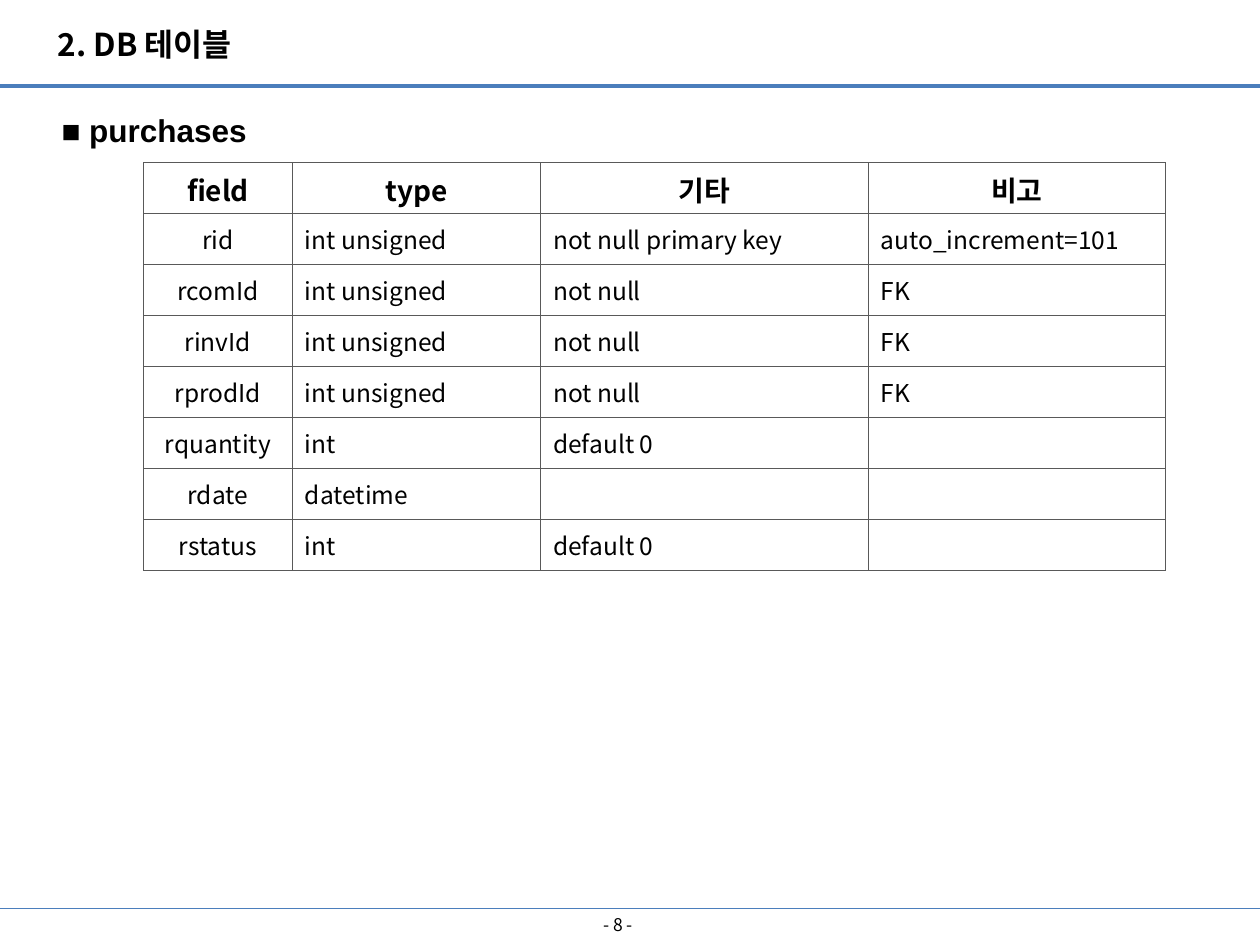
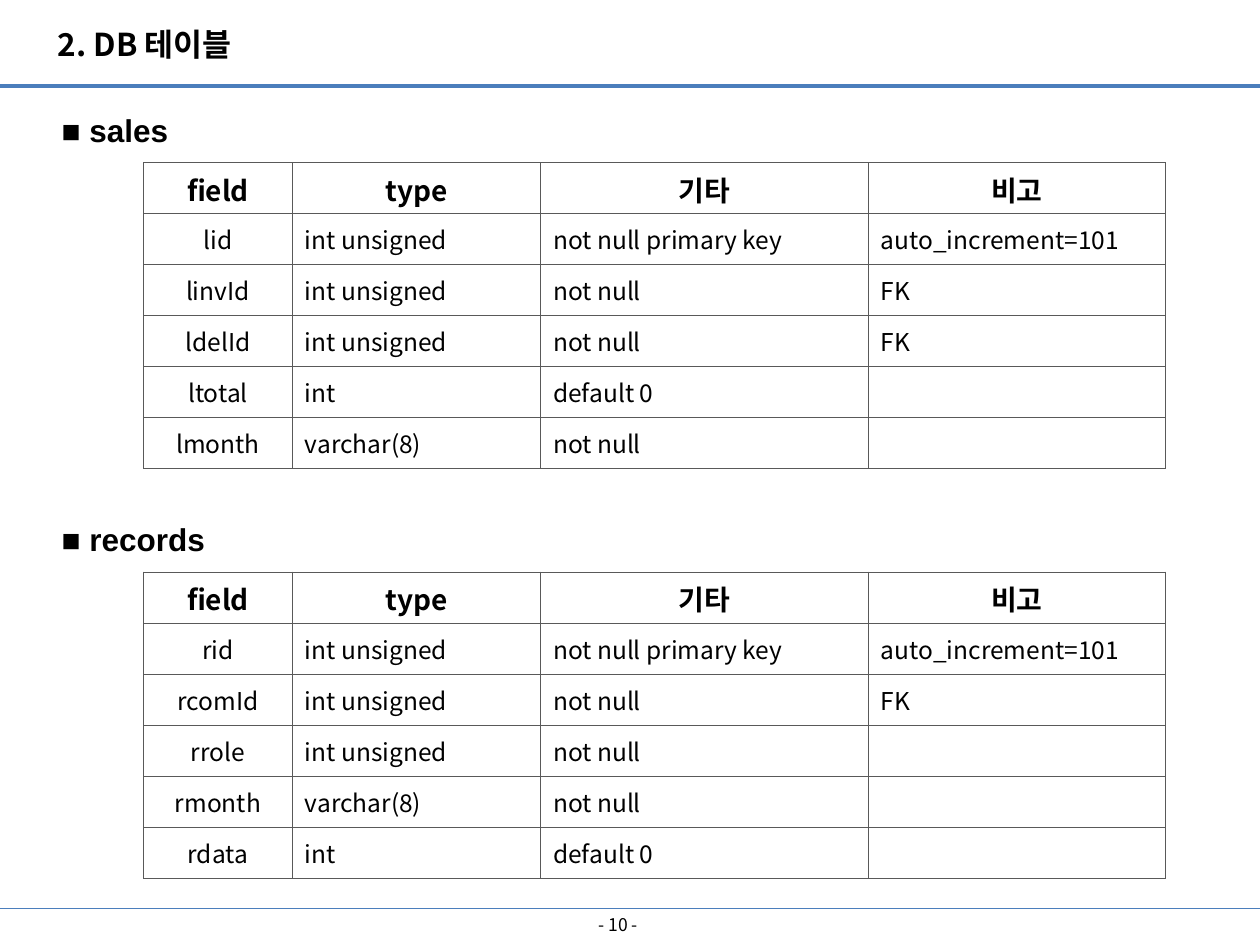
from lxml.etree import SubElement, fromstring
from pptx import Presentation
from pptx.dml.color import RGBColor
from pptx.enum.shapes import MSO_CONNECTOR
from pptx.enum.text import MSO_ANCHOR, MSO_AUTO_SIZE, PP_ALIGN
from pptx.oxml.ns import nsdecls, qn
from pptx.util import Inches, Pt

hues = {"rule": "4B7EBC", "text": "000000", "edge": "595959"}
sans = "Noto Sans CJK KR"
widths = [1.18, 1.97, 2.6, 2.36]
row_h = 0.81 / 2
head = ("field", "type", "기타", "비고")
key = ("int unsigned", "not null primary key", "auto_increment=101")
link = ("int unsigned", "not null", "FK")
count = ("int", "default 0", "")
month = ("varchar(8)", "not null", "")

pages = [
    ("- 8 -", [
        ("purchases", 0.68, [
            ("rid", *key), ("rcomId", *link), ("rinvId", *link),
            ("rprodId", *link), ("rquantity", *count),
            ("rdate", "datetime", "", ""), ("rstatus", *count)]),
    ]),
    ("- 10 -", [
        ("sales", 0.68, [
            ("lid", *key), ("linvId", *link), ("ldelId", *link),
            ("ltotal", *count), ("lmonth", *month)]),
        ("records", 3.93, [
            ("rid", *key), ("rcomId", *link),
            ("rrole", "int unsigned", "not null", ""),
            ("rmonth", *month), ("rdata", *count)]),
    ]),
]


def write(frame, text, size, bold=False, face=sans, align=PP_ALIGN.LEFT):
    para = frame.paragraphs[0]
    para.text = text
    para.alignment = align
    font = para.font
    font.size = Pt(size)
    font.bold = bold
    font.color.rgb = RGBColor.from_string(hues["text"])
    font.name = face
    SubElement(para._p.pPr.find(qn("a:defRPr")), qn("a:ea"), typeface=sans)
    return para


def label(slide, text, left, top, width, height, face=sans):
    box = slide.shapes.add_textbox(
        Inches(left), Inches(top), Inches(width), Inches(height))
    frame = box.text_frame
    frame.word_wrap = False
    frame.auto_size = MSO_AUTO_SIZE.SHAPE_TO_FIT_TEXT
    return write(frame, text, 18, True, face)


deck = Presentation()
deck.slide_width = Inches(10)
deck.slide_height = Inches(7.5)

for number, tables in pages:
    slide = deck.slides.add_slide(deck.slide_layouts[6])
    for y, weight in ((0.68, 2.25), (7.21, 0.75)):
        rule = slide.shapes.add_connector(
            MSO_CONNECTOR.STRAIGHT, 0, Inches(y), Inches(10), Inches(y))
        rule.line.color.rgb = RGBColor.from_string(hues["rule"])
        rule.line.width = Pt(weight)
        SubElement(rule._element.spPr, qn("a:effectLst"))

    label(slide, "2. DB 테이블", 0.36, 0.15, 1.7, 0.4)
    foot = slide.shapes.add_textbox(
        Inches(3.74), Inches(7.21), Inches(2.33), Inches(0.26)).text_frame
    foot.word_wrap = True
    foot.vertical_anchor = MSO_ANCHOR.MIDDLE
    write(foot, number, 10, align=PP_ALIGN.CENTER)

    for name, top, fields in tables:
        title = label(slide, f"■ {name}", 0.39, top,
                      0.6 + 0.13 * len(name), 0.51, "Arial")
        title.line_spacing = 1.5

        rows = [head] + fields
        grid = slide.shapes.add_table(
            len(rows), len(head), Inches(1.14), Inches(top + 0.61),
            Inches(sum(widths)), Inches(row_h * len(rows))).table
        grid.first_row = False
        grid.horz_banding = False
        for col, width in zip(grid.columns, widths):
            col.width = Inches(width)
        for r, row in enumerate(rows):
            grid.rows[r].height = Inches(row_h)
            for c, text in enumerate(row):
                cell = grid.cell(r, c)
                cell.fill.background()
                cell.margin_bottom = Inches(0.03 if r == 0 else 0.05)
                cell.vertical_anchor = MSO_ANCHOR.MIDDLE if r else MSO_ANCHOR.TOP
                mid = r == 0 or c == 0
                write(cell.text_frame, text, 14 if r else 16, r == 0,
                      align=PP_ALIGN.CENTER if mid else PP_ALIGN.LEFT)
                for i, side in enumerate("LRTB"):
                    cell._tc.tcPr.insert(i, fromstring(
                        f'<a:ln{side} {nsdecls("a")} w="{Pt(0.5)}"><a:solidFill>'
                        f'<a:srgbClr val="{hues["edge"]}"/></a:solidFill></a:ln{side}>'))

deck.save("out.pptx")
